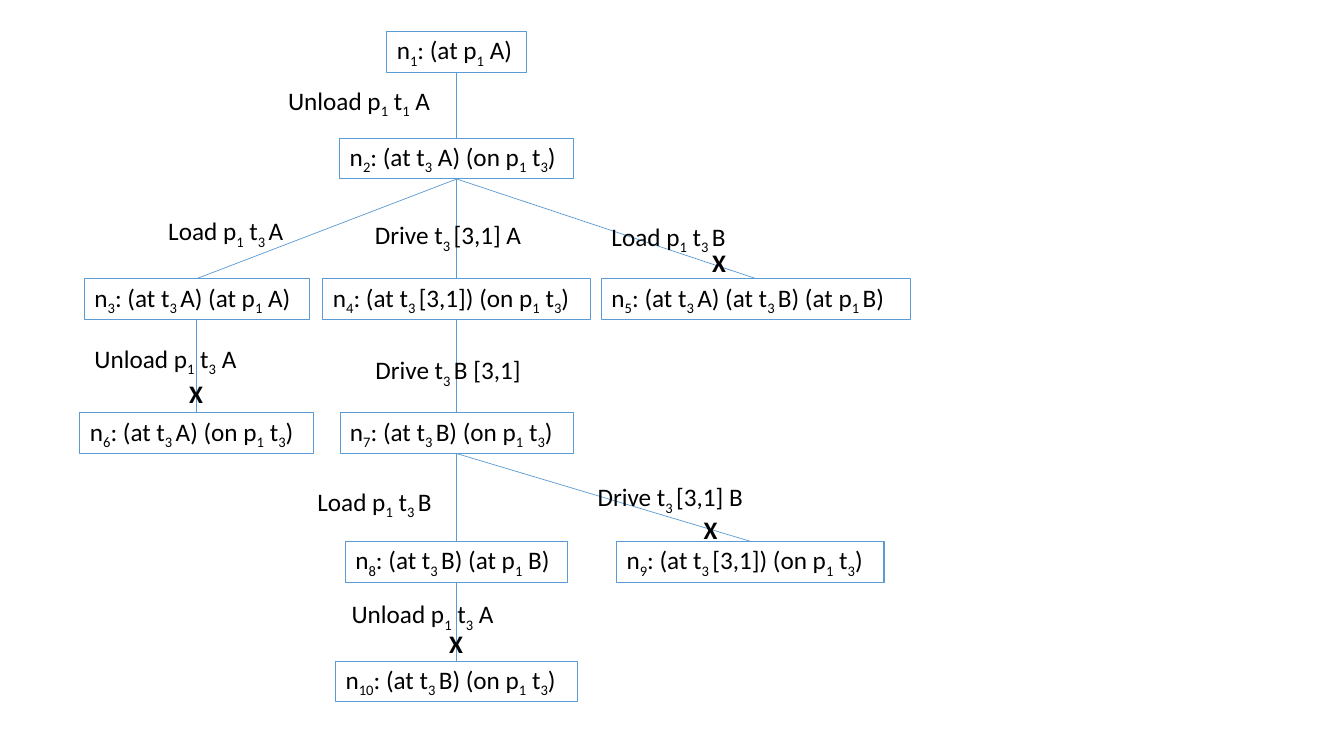
from dataclasses import dataclass

from lxml.etree import SubElement
from pptx import Presentation
from pptx.dml.color import RGBColor
from pptx.enum.shapes import MSO_CONNECTOR as Connector, MSO_SHAPE as Preset
from pptx.enum.text import MSO_AUTO_SIZE as AutoSize, PP_ALIGN as Align
from pptx.oxml.ns import qn
from pptx.util import Cm, Pt


@dataclass(frozen=True)
class Theme:
    """Fonts, colours and sizes of the search tree."""
    font: str = "Calibri"
    size: Pt = Pt(18)
    ink: RGBColor = RGBColor(0, 0, 0)
    line: RGBColor = RGBColor(0x5B, 0x9B, 0xD5)
    border: Pt = Pt(0.75)
    edge: Pt = Pt(0.5)
    height: Cm = Cm(1.03)


class TreeSlide:
    """Draws the parts of a search tree on one slide."""

    def __init__(self, slide, theme):
        """Keep the slide and its style."""
        self.shapes = slide.shapes
        self.theme = theme

    def add_text(self, shape, text, bold=False):
        """Fill a shape with text whose subscripts stand between underscores."""
        frame = shape.text_frame
        frame.word_wrap = False
        frame.auto_size = AutoSize.SHAPE_TO_FIT_TEXT
        paragraph = frame.paragraphs[0]
        paragraph.alignment = Align.LEFT
        for position, part in enumerate(text.split("_")):
            if not part:
                continue
            run = paragraph.add_run()
            run.text = part
            run.font.name = self.theme.font
            run.font.size = self.theme.size
            run.font.color.rgb = self.theme.ink
            if bold:
                run.font.bold = True
            if position % 2:
                run.font._element.set("baseline", "-25000")

    def node(self, centre, top, width, text):
        """Add a boxed state."""
        box = self.shapes.add_shape(Preset.RECTANGLE, Cm(centre - width / 2), Cm(top),
                                    Cm(width), self.theme.height)
        box.shadow.inherit = False
        box.fill.background()
        box.line.color.rgb = self.theme.line
        box.line.width = self.theme.border
        self.add_text(box, text)
        return box

    def edge(self, parent, child):
        """Join the bottom of a parent to the top of its child."""
        branch = self.shapes.add_connector(Connector.STRAIGHT, 0, 0, 0, 0)
        branch.begin_connect(parent, 2)
        branch.end_connect(child, 0)
        branch.line.color.rgb = self.theme.line
        branch.line.width = self.theme.edge
        SubElement(branch._element.spPr, qn("a:effectLst"))

    def label(self, left, top, width, text, bold=False):
        """Add free text beside an edge."""
        caption = self.shapes.add_textbox(Cm(left), Cm(top), Cm(width), self.theme.height)
        self.add_text(caption, text, bold)


SPINE, LEFT_BRANCH = 11.51, 4.96
ROWS = (0.79, 3.48, 7.02, 10.4, 13.64, 16.66)
LOAD, UNLOAD, DRIVE, CROSS = 3.55, 4.2, 4.3, 0.86

STATES = {
    1: (SPINE, ROWS[0], 3.52, "(at p_1_ A)"),
    2: (SPINE, ROWS[1], 5.89, "(at t_3_ A) (on p_1_ t_3_)"),
    3: (LEFT_BRANCH, ROWS[2], 5.66, "(at t_3 _A) (at p_1_ A)"),
    4: (SPINE, ROWS[2], 6.74, "(at t_3 _[3,1]) (on p_1_ t_3_)"),
    5: (19.05, ROWS[2], 7.78, "(at t_3 _A) (at t_3 _B) (at p_1 _B)"),
    6: (LEFT_BRANCH, ROWS[3], 5.89, "(at t_3 _A) (on p_1_ t_3_)"),
    7: (SPINE, ROWS[3], 5.88, "(at t_3 _B) (on p_1_ t_3_)"),
    8: (SPINE, ROWS[4], 5.61, "(at t_3 _B) (at p_1_ B)"),
    9: (18.91, ROWS[4], 6.74, "(at t_3 _[3,1]) (on p_1_ t_3_)"),
    10: (SPINE, ROWS[5], 6.1, "(at t_3 _B) (on p_1_ t_3_)"),
}
BRANCHES = ((1, 2), (2, 3), (2, 4), (2, 5), (3, 6), (4, 7), (7, 8), (7, 9), (8, 10))
ACTIONS = (
    (7.01, 2.03, UNLOAD, "Unload p_1_ t_1_ A"),
    (3.99, 5.31, LOAD, "Load p_1_ t_3 _A"),
    (9.2, 5.41, DRIVE, "Drive t_3 _[3,1] A"),
    (15.16, 5.44, LOAD, "Load p_1_ t_3 _B"),
    (2.13, 8.53, UNLOAD, "Unload p_1_ t_3_ A"),
    (9.21, 8.81, DRIVE, "Drive t_3 _B [3,1]"),
    (7.75, 12.12, LOAD, "Load p_1_ t_3 _B"),
    (14.81, 12.01, DRIVE, "Drive t_3 _[3,1] B"),
    (8.61, 14.96, UNLOAD, "Unload p_1_ t_3_ A"),
)
DEAD_ENDS = ((17.7, 6.12), (4.52, 9.4), (17.48, 12.83), (11.07, 15.7))


def main():
    """Build the search tree and save it."""
    deck = Presentation()
    deck.slide_width, deck.slide_height = Cm(33.87), Cm(19.05)
    tree = TreeSlide(deck.slides.add_slide(deck.slide_layouts[6]), Theme())
    nodes = {number: tree.node(centre, top, width, f"n_{number}_: {facts}")
             for number, (centre, top, width, facts) in STATES.items()}
    for parent, child in BRANCHES:
        tree.edge(nodes[parent], nodes[child])
    for action in ACTIONS:
        tree.label(*action)
    for left, top in DEAD_ENDS:
        tree.label(left, top, CROSS, "X", bold=True)
    deck.save("out.pptx")


if __name__ == "__main__":
    main()
